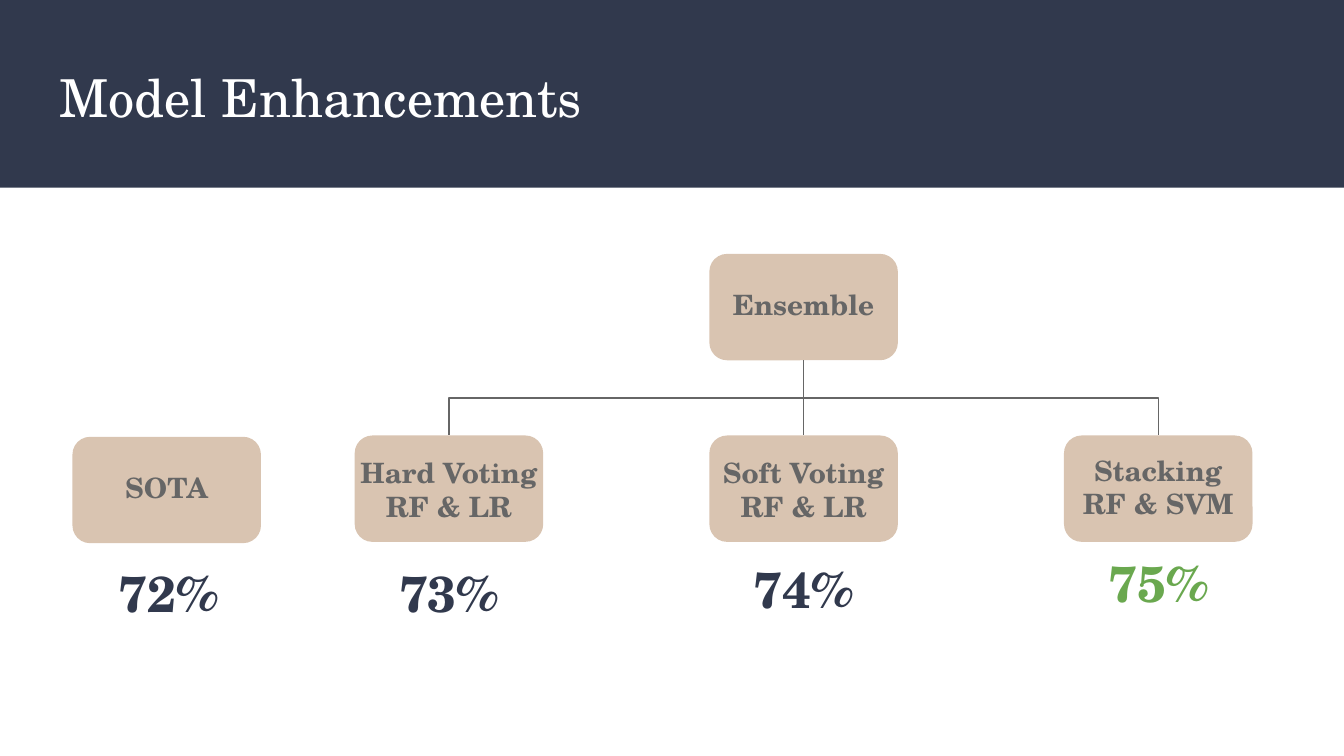
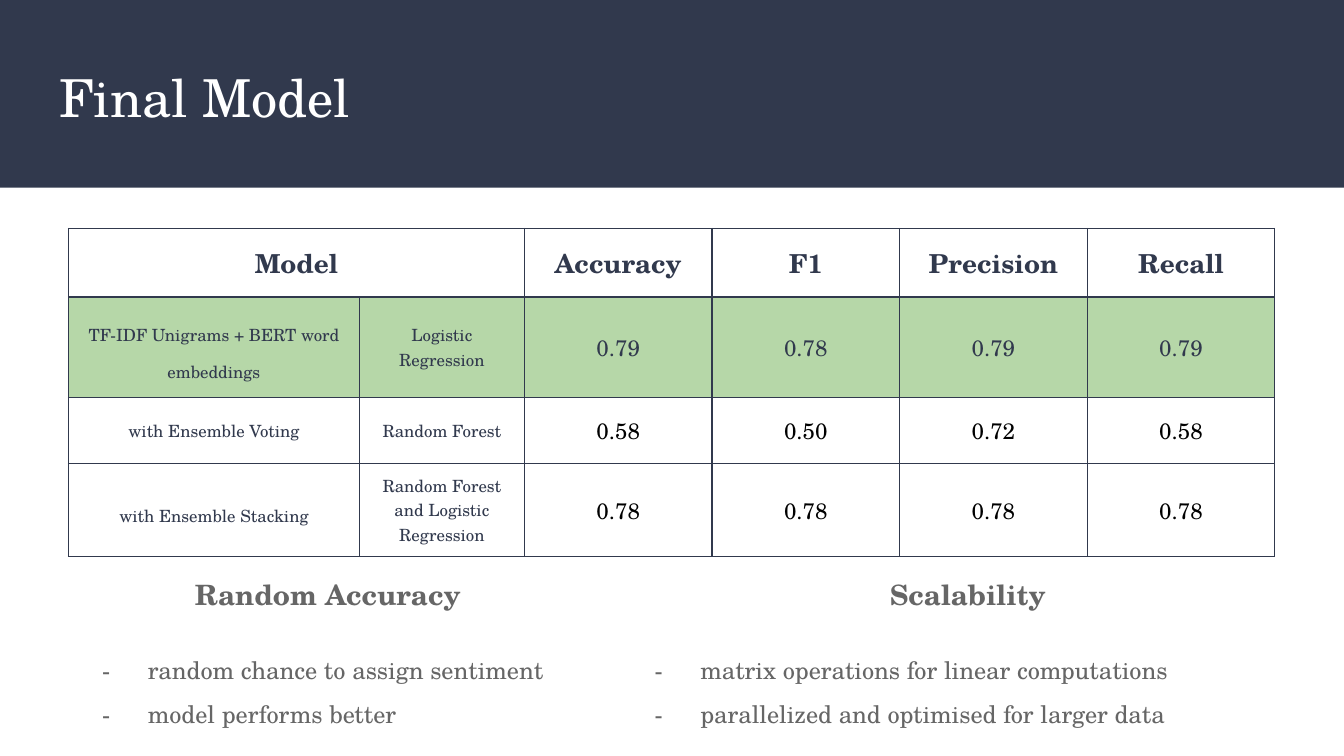
from lxml import etree
from pptx import Presentation
from pptx.dml.color import RGBColor
from pptx.enum import shapes, text
from pptx.oxml import ns
from pptx.util import Pt

FONT = "TeX Gyre Schola"
NAVY, TAN, GREY, WHITE, BLACK = "31394D", "D9C4B1", "666666", "FFFFFF", "000000"
GREEN, PALE_GREEN = "6AA84F", "B6D7A8"
LEFT, CENTER = text.PP_ALIGN.LEFT, text.PP_ALIGN.CENTER
TITLE_ONLY, TWO_CONTENT = 5, 3
BOX_W, BOX_H, LABEL_W, SCORE_W = 101, 57, 132.5, 84


def rgb(value):
    return RGBColor.from_string(value)


def sub(parent, tag, **attrs):
    return etree.SubElement(parent, ns.qn(tag), attrs)


def solid(parent, color):
    sub(sub(parent, "a:solidFill"), "a:srgbClr", val=color)


def place(sp, x, y, w, h):
    sp.left, sp.top, sp.width, sp.height = Pt(x), Pt(y), Pt(w), Pt(h)


def style(p, size, color, bold=False, align=CENTER, spacing=1.0):
    p.alignment, p.line_spacing = align, spacing
    p.space_before = p.space_after = Pt(0)
    f = p.font
    f.name, f.size, f.bold, f.color.rgb = FONT, Pt(size), bold, rgb(color)


def frame(tf, anchor=text.MSO_ANCHOR.TOP):
    tf.word_wrap, tf.auto_size = True, text.MSO_AUTO_SIZE.NONE
    tf.vertical_anchor = anchor
    tf.margin_left = tf.margin_right = tf.margin_top = tf.margin_bottom = Pt(7.2)


def add_block(parent, kind, x, y, w, h, color):
    sp = parent.add_shape(kind, Pt(x), Pt(y), Pt(w), Pt(h))
    sp.shadow.inherit = False
    sp.fill.solid()
    sp.fill.fore_color.rgb = rgb(color)
    sp.line.fill.background()
    return sp


def add_text(parent, x, y, w, h, lines, size, color):
    tf = parent.add_textbox(Pt(x), Pt(y), Pt(w), Pt(h)).text_frame
    frame(tf)
    tf.text = "\n".join(lines)
    for p in tf.paragraphs:
        style(p, size, color, bold=True)


def add_slide(prs, layout, title):
    s = prs.slides.add_slide(prs.slide_layouts[layout])
    # Band behind the title
    band = add_block(s.shapes, shapes.MSO_SHAPE.RECTANGLE, 0, 0, 720, 100.5, NAVY)
    s.shapes.title._element.addprevious(band._element)
    place(s.shapes.title, 24.5, 27.4, 671, 49)
    tf = s.shapes.title.text_frame
    frame(tf, text.MSO_ANCHOR.MIDDLE)
    tf.text = title
    style(tf.paragraphs[0], 28, WHITE, align=LEFT)
    return s


def add_model(s, center, top, lines, label_dy):
    group = s.shapes.add_group_shape()
    box = add_block(group.shapes, shapes.MSO_SHAPE.ROUNDED_RECTANGLE,
                    center - BOX_W / 2, top, BOX_W, BOX_H, TAN)
    add_text(group.shapes, center - LABEL_W / 2, top + label_dy, LABEL_W,
             BOX_H if len(lines) > 1 else 46, lines, 15, GREY)
    return box


def add_score(s, center, top, score, color):
    add_text(s.shapes, center - SCORE_W / 2, top, SCORE_W, 76, [score], 27, color)


def add_branch(s, parent, child):
    straight = parent.left == child.left
    kind = shapes.MSO_CONNECTOR.STRAIGHT if straight else shapes.MSO_CONNECTOR.ELBOW
    c = s.shapes.add_connector(kind, 0, 0, 0, 0)
    c.begin_connect(parent, 2)
    c.end_connect(child, 0)
    if not straight:
        # Turn the elbow so that it leaves downwards
        drop, run = c.end_y - c.begin_y, abs(c.end_x - c.begin_x)
        mid_x, mid_y = (c.begin_x + c.end_x) // 2, (c.begin_y + c.end_y) // 2
        rightward = child.left > parent.left
        c.left, c.top = mid_x - drop // 2, mid_y - run // 2
        c.width, c.height = drop, run
        xfrm = c._element.spPr.find(ns.qn("a:xfrm"))
        xfrm.set("rot", str((270 if rightward else 90) * 60000))
        xfrm.set("flipH", "1" if rightward else "0")
        xfrm.set("flipV", "0")
    c.line.color.rgb, c.line.width = rgb(GREY), Pt(0.75)
    sub(c._element.spPr, "a:effectLst")


def fill_cell(cell, value, size, color, bold=False, spacing=1.0, margin=5, fill=None):
    tcPr = cell._tc.get_or_add_tcPr()
    for side in ("a:lnL", "a:lnR", "a:lnT", "a:lnB"):
        solid(sub(tcPr, side, w=str(Pt(0.75))), NAVY)
    if fill:
        cell.fill.solid()
        cell.fill.fore_color.rgb = rgb(fill)
    else:
        cell.fill.background()
    cell.vertical_anchor = text.MSO_ANCHOR.MIDDLE
    cell.margin_left = cell.margin_right = Pt(margin)
    cell.margin_top = cell.margin_bottom = Pt(margin)
    cell.text = value
    style(cell.text_frame.paragraphs[0], size, color, bold, spacing=spacing)


def add_results(s, header, rows):
    widths, heights = [155.7, 88.6] + [100.5] * 4, [36.7, 35.3, 35.3, 49]
    table = s.shapes.add_table(len(heights), len(widths), Pt(36.7), Pt(122.4),
                               Pt(sum(widths)), Pt(sum(heights))).table
    table.first_row = table.horz_banding = False
    for column, width in zip(table.columns, widths):
        column.width = Pt(width)
    for row, height in zip(table.rows, heights):
        row.height = Pt(height)
    for j, value in enumerate(header):
        fill_cell(table.cell(0, j), value, 14, NAVY, bold=True, margin=7.2)
    table.cell(0, 0).merge(table.cell(0, 1))
    for i, (spacing, number_color, fill, values) in enumerate(rows, 1):
        for j, value in enumerate(values):
            size, color = (9, NAVY) if j < 2 else (12, number_color)
            fill_cell(table.cell(i, j), value, size, color, fill=fill,
                      spacing=1.0 if j else spacing, margin=5 if j else 7.2)


def add_list(sp, x, w, indent, heading, items):
    place(sp, x, 302.4, w, 101.5)
    tf = sp.text_frame
    frame(tf)
    tf.text = "\n".join([heading] + items)
    for i, p in enumerate(tf.paragraphs):
        pPr = p._p.get_or_add_pPr()
        pPr.set("marL", str(Pt(indent if i else 0)))
        pPr.set("indent", str(Pt(-24.5 if i else 0)))
        if i:
            sub(sub(pPr, "a:buClr"), "a:srgbClr", val=GREY)
            sub(pPr, "a:buFont", typeface=FONT)
            sub(pPr, "a:buChar", char="-")
            style(p, 13, GREY, align=LEFT, spacing=1.5)
        else:
            sub(pPr, "a:buNone")
            style(p, 15, GREY, bold=True)
            p.space_after = Pt(15.6)


def build_enhancements(prs):
    s = add_slide(prs, TITLE_ONLY, "Model Enhancements")
    # Ensemble tree with scores
    first, step = 240.5, 190
    ensemble = add_model(s, first + step, 136, ["Ensemble"], 10.8)
    methods = [
        (["Hard Voting", "RF & LR"], 3.6, "73%", 293.8, NAVY),
        (["Soft Voting", "RF & LR"], 3.6, "74%", 291.6, NAVY),
        (["Stacking", "RF & SVM"], 2.2, "75%", 288.8, GREEN),
    ]
    for i, (lines, label_dy, score, score_top, color) in enumerate(methods):
        center = first + i * step
        add_branch(s, ensemble, add_model(s, center, 233.3, lines, label_dy))
        add_score(s, center, score_top, score, color)
    # Baseline
    add_model(s, 89.3, 234, ["SOTA"], 10.8)
    add_score(s, 90.3, 293.8, "72%", NAVY)


def build_final_model(prs):
    s = add_slide(prs, TWO_CONTENT, "Final Model")
    # Results table: line spacing of the first column, number colour, fill, values
    add_results(s, ["Model", "", "Accuracy", "F1", "Precision", "Recall"], [
        (1.5, NAVY, PALE_GREEN, ["TF-IDF Unigrams + BERT word embeddings",
                                 "Logistic Regression", "0.79", "0.78", "0.79", "0.79"]),
        (1.0, BLACK, None, ["with Ensemble Voting", "Random Forest",
                            "0.58", "0.50", "0.72", "0.58"]),
        (1.5, BLACK, None, ["with Ensemble Stacking",
                            "Random Forest and Logistic Regression",
                            "0.78", "0.78", "0.78", "0.78"]),
    ])
    # Remarks below the table
    add_list(s.placeholders[1], 0, 351.4, 72, "Random Accuracy",
             ["random chance to assign sentiment", "model performs better"])
    add_list(s.placeholders[2], 332, 373, 36, "Scalability",
             ["matrix operations for linear computations",
              "parallelized and optimised for larger data"])


def main():
    prs = Presentation()
    prs.slide_width, prs.slide_height = Pt(720), Pt(405)
    build_enhancements(prs)
    build_final_model(prs)
    prs.save("out.pptx")


if __name__ == "__main__":
    main()
